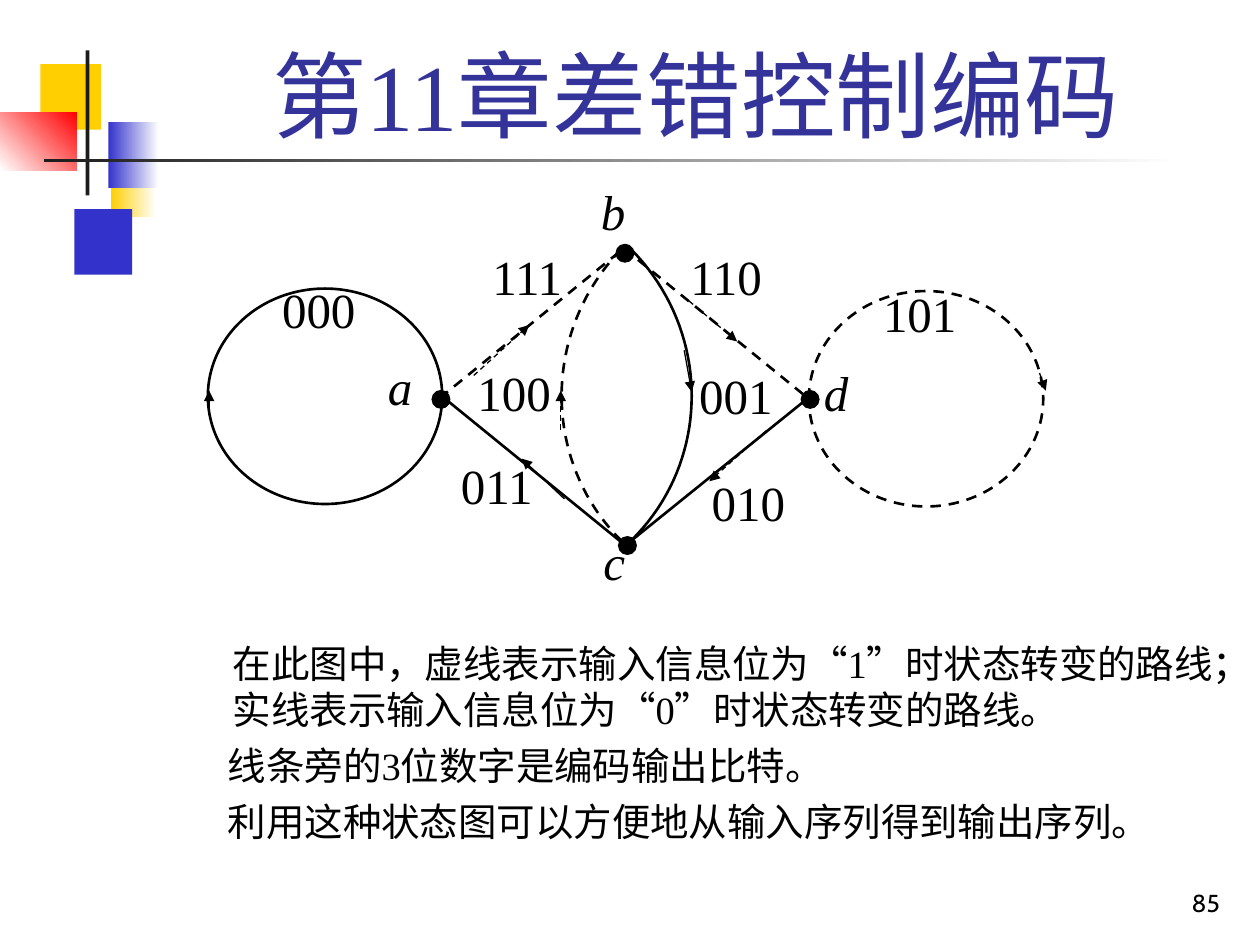
from typing import NamedTuple, Optional

from lxml.etree import SubElement
from pptx import Presentation
from pptx.dml.color import RGBColor
from pptx.enum.dml import MSO_LINE_DASH_STYLE as Dash
from pptx.enum.shapes import MSO_CONNECTOR_TYPE as Connector, MSO_SHAPE as Shape
from pptx.enum.text import MSO_ANCHOR as Anchor, PP_ALIGN as Align
from pptx.oxml.ns import qn
from pptx.util import Inches, Pt

BLACK, WHITE, GOLD, BLUE, RED, INK = "000000", "FFFFFF", "FFCF01", "3333CC", "FF0000", "1C1C1C"
SERIF = "Times New Roman"
DOT = 0.14


class Block(NamedTuple):
    left: float
    top: float
    width: float
    height: float
    color: str
    end: Optional[str] = None
    angle: float = 0


class Edge(NamedTuple):
    x1: float
    y1: float
    x2: float
    y2: float
    dashed: bool = False
    arrow: bool = False


class Arc(NamedTuple):
    x: float
    control_x: float
    dashed: bool


class Label(NamedTuple):
    text: str
    left: float
    top: float


BLOCKS = [
    Block(0.88, 1.2, 0.36, 0.52, GOLD, WHITE),
    Block(0.59, 1.66, 0.46, 0.52, BLUE),
    Block(0.32, 0.51, 0.48, 0.52, GOLD),
    Block(0.86, 0.97, 0.4, 0.52, BLUE, WHITE),
    Block(0, 0.89, 0.61, 0.46, WHITE, RED, 45),
    Block(0.68, 0.4, 0.03, 1.15, INK),
    Block(0.35, 1.26, 9, 0.03, INK, WHITE),
]
EDGES = [
    Edge(3.49, 3.16, 4.94, 1.98, dashed=True),
    Edge(3.49, 3.13, 4.94, 4.31),
    Edge(4.95, 1.97, 6.4, 3.15, dashed=True),
    Edge(4.95, 4.34, 6.4, 3.17),
]
ARROWS = [
    Edge(4.45, 3.41, 4.45, 3.1, True, True),
    Edge(3.76, 2.98, 4.2, 2.58, True, True),
    Edge(6.08, 3.42, 5.63, 3.82, True, True),
    Edge(4.48, 3.96, 4.14, 3.64, False, True),
    Edge(5.47, 2.39, 5.85, 2.71, True, True),
    Edge(5.43, 2.78, 5.49, 3.11, False, True),
    Edge(1.66, 3.29, 1.66, 3.1, False, True),
    Edge(8.25, 2.96, 8.3, 3.1, True, True),
]
ARCS = [Arc(5.01, 5.65, False), Arc(4.93, 4.3, True)]
LOOPS = [(1.65, 2.29, False), (6.42, 2.31, True)]
DOTS = [(6.36, 3.1), (3.43, 3.1), (4.89, 1.94), (4.91, 4.26)]
STATES = [Label("a", 2.98, 2.78), Label("b", 4.67, 1.39),
          Label("c", 4.69, 4.17), Label("d", 6.44, 2.83)]
OUTPUTS = [
    Label("000", 2.14, 2.17), Label("111", 3.81, 1.91), Label("101", 6.91, 2.2),
    Label("110", 5.38, 1.91), Label("010", 5.55, 3.7), Label("011", 3.56, 3.57),
    Label("100", 3.69, 2.83), Label("001", 5.45, 2.85),
]
NOTES = [
    ("在此图中，虚线表示输入信息位为“1”时状态转变的路线；实线表示输入信息位为“0”时状态转变的路线。", 1.75),
    ("线条旁的3位数字是编码输出比特。", 1.71),
    ("利用这种状态图可以方便地从输入序列得到输出序列。", 1.71),
]


def rgb(color: str) -> RGBColor:
    return RGBColor.from_string(color)


def set_line(line, width: float, dashed: bool = False) -> None:
    line.color.rgb = rgb(BLACK)
    line.width = Pt(width)
    if dashed:
        line.dash_style = Dash.DASH


def add_block(s, block: Block) -> None:
    sp = s.shapes.add_shape(Shape.RECTANGLE, *map(Inches, block[:4]))
    sp.shadow.inherit = False
    sp.line.fill.background()
    if block.end is None:
        sp.fill.solid()
        sp.fill.fore_color.rgb = rgb(block.color)
        return
    sp.fill.gradient()
    sp.fill.gradient_angle = block.angle
    for stop, color in zip(sp.fill.gradient_stops, (block.color, block.end)):
        stop.color.rgb = rgb(color)


def add_ellipse(s, left: float, top: float, width: float, height: float,
                color: str, line_width: float, dashed: bool = False) -> None:
    sp = s.shapes.add_shape(Shape.OVAL, *map(Inches, (left, top, width, height)))
    sp.shadow.inherit = False
    sp.fill.solid()
    sp.fill.fore_color.rgb = rgb(color)
    set_line(sp.line, line_width, dashed)


def add_edge(s, edge: Edge) -> None:
    sp = s.shapes.add_connector(Connector.STRAIGHT, *map(Inches, edge[:4]))
    set_line(sp.line, 0.75 if edge.arrow else 1.5, edge.dashed)
    if edge.arrow:
        SubElement(sp.line._get_or_add_ln(), qn("a:tailEnd"), type="triangle")
    SubElement(sp._element.spPr, qn("a:effectLst"))


def add_arc(s, arc: Arc, top: float = 1.98, bottom: float = 4.29, steps: int = 40) -> None:
    """Draw a cubic curve from b to c, with both control points at control_x."""
    ys = (top, 2.63, 3.66, bottom)
    xs = (arc.x, arc.control_x, arc.control_x, arc.x)
    points = []
    for i in range(steps + 1):
        t = i / steps
        weights = ((1 - t) ** 3, 3 * t * (1 - t) ** 2, 3 * t * t * (1 - t), t ** 3)
        points.append(tuple(Inches(sum(w * v for w, v in zip(weights, vs))) for vs in (xs, ys)))
    builder = s.shapes.build_freeform(*points[0])
    builder.add_line_segments(points[1:], close=False)
    sp = builder.convert_to_shape()
    sp.shadow.inherit = False
    sp.fill.background()
    set_line(sp.line, 1.5, arc.dashed)


def add_text(s, paragraphs, left: float, top: float, width: float, height: float, *,
             size: float, font: str = SERIF, color: str = BLACK, italic: bool = False,
             align=Align.LEFT, anchor=Anchor.TOP, before: float = 0) -> None:
    """Add a text box from (text, left margin in inches) pairs."""
    tf = s.shapes.add_textbox(*map(Inches, (left, top, width, height))).text_frame
    tf.word_wrap = True
    tf.vertical_anchor = anchor
    for i, (text, margin) in enumerate(paragraphs):
        p = tf.add_paragraph() if i else tf.paragraphs[0]
        p.alignment = align
        p.space_before = Pt(before)
        p._p.get_or_add_pPr().set("marL", str(Inches(margin)))
        r = p.add_run()
        r.text = text
        r.font.name = font
        r.font.size = Pt(size)
        r.font.italic = italic
        r.font.color.rgb = rgb(color)


def main() -> None:
    prs = Presentation()
    prs.slide_width, prs.slide_height = Inches(10), Inches(7.5)
    s = prs.slides.add_slide(prs.slide_layouts[6])

    for block in BLOCKS:
        add_block(s, block)
    add_text(s, [("85", 0)], 7.7, 6.83, 2.08, 0.5, size=14, font="Cabin",
             align=Align.RIGHT, anchor=Anchor.BOTTOM)
    add_text(s, [("第11章差错控制编码", 0)], 1.26, 0.23, 8.52, 1.01, size=54,
             color="333399", align=Align.CENTER, anchor=Anchor.BOTTOM)
    add_text(s, NOTES, 0, 5.03, 10, 1.8, size=22, before=5.5)

    for left, top, dashed in LOOPS:
        add_ellipse(s, left, top, 1.86, 1.71, WHITE, 1.5, dashed)
    for edge in EDGES:
        add_edge(s, edge)
    for arc in ARCS:
        add_arc(s, arc)
    for arrow in ARROWS:
        add_edge(s, arrow)
    for left, top in DOTS:
        add_ellipse(s, left, top, DOT, DOT, BLACK, 0.75)
    for labels, width, italic in ((STATES, 0.74, True), (OUTPUTS, 0.91, False)):
        for label in labels:
            add_text(s, [(label.text, 0)], label.left, label.top, width, 0.66,
                     size=28, italic=italic)
    prs.save("out.pptx")


if __name__ == "__main__":
    main()
